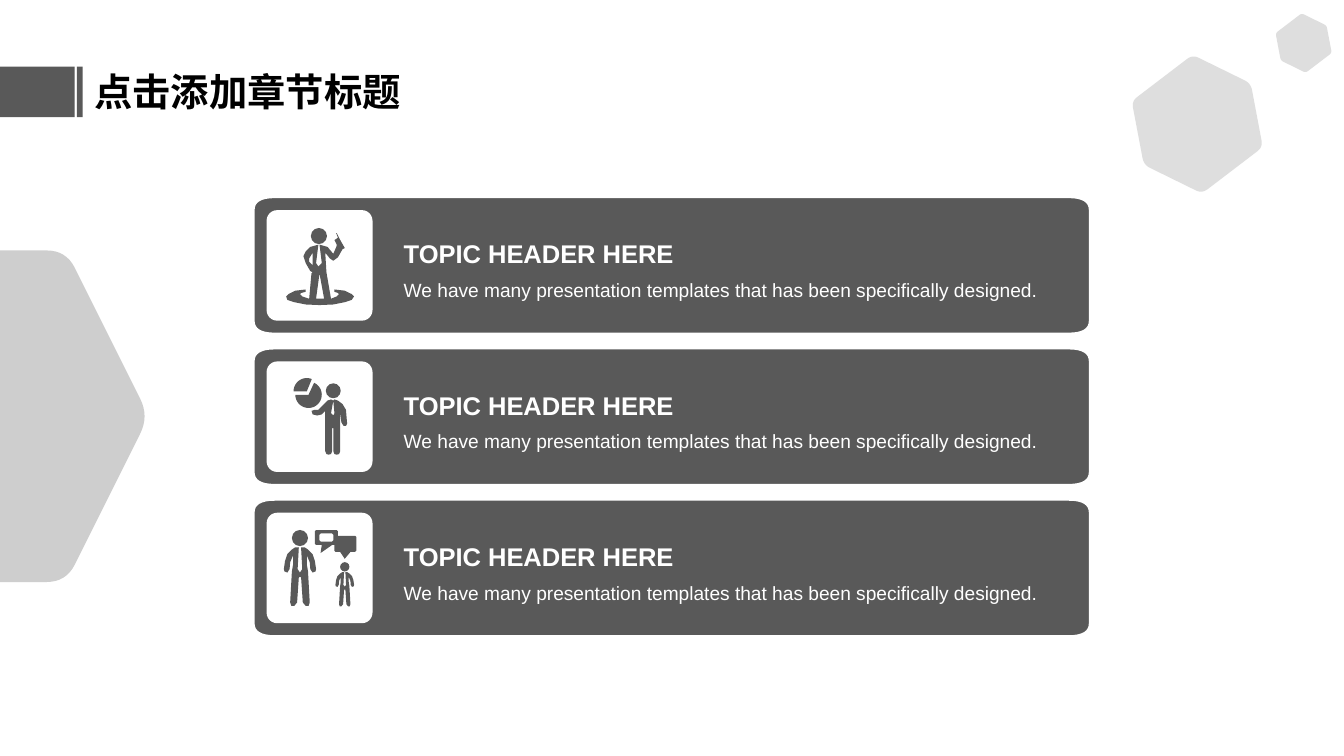
from math import cos, hypot, pi, sin

from lxml.etree import SubElement
from pptx import Presentation
from pptx.dml.color import RGBColor
from pptx.enum.shapes import MSO_SHAPE
from pptx.enum.text import MSO_ANCHOR, PP_ALIGN
from pptx.oxml.ns import qn
from pptx.util import Cm, Pt

GRAY, WHITE, BLACK, PALE = "595959", "FFFFFF", "000000", "A6A6A6"
BAR_LEFT, BAR_TOP, BAR_WIDTH, BAR_HEIGHT, BAR_PITCH = 5.59, 4.34, 18.5, 3.04, 3.34
ICON_UNIT = 2.54 / 100

PRESENTER = [
    [(76, 75), (74, 78), (68, 80), (58, 82), (46, 82.5), (34, 82), (24, 80), (18, 78),
     (17, 75), (19, 73), (25, 70), (34, 69), (34, 71), (30, 72), (29, 73), (31, 75),
     (37, 77), (39, 55), (40, 54), (38, 53), (34, 46), (32, 40), (34, 36), (38, 32),
     (45, 30), (43, 46), (45, 49), (48, 46), (46, 30), (53, 32), (58, 38), (61, 31),
     (61, 30), (59, 26), (62, 24), (60.5, 20), (61, 20), (63, 24), (64, 26), (68, 33),
     (66, 34), (62, 41), (58, 44), (55, 42), (51, 37), (52, 54), (56, 77), (61, 75),
     (63, 73), (62, 72), (59, 71), (59, 69), (68, 70), (74, 73)],
    [(40, 48), (40, 37), (37, 42), (37, 45)],
    [(50, 77), (46, 55), (43, 77)],
]
ANALYST = [
    [(56, 33), (58, 34), (59, 33), (62, 34), (66, 37), (69, 42), (70, 54), (69, 56),
     (67, 56), (65, 53), (64, 44), (64, 78), (63, 80.5), (61, 81), (59, 80.5), (58, 78),
     (58, 58), (57, 58), (57, 78), (56, 80.5), (54, 81), (52, 80.5), (51, 78), (51, 43),
     (48, 46), (44, 47), (40, 46), (39, 43), (42, 42), (45, 42), (49, 38), (53, 34)],
    [(58, 34), (56, 45), (58, 47), (59, 45)],
]
SPEECH_BUBBLES = [
    [(43, 15), (61, 15), (62, 16), (62, 20), (77, 20), (78, 21), (78, 33), (77, 34),
     (73, 34), (68, 40), (64, 34), (60, 34), (59, 33), (59, 28), (57, 28), (47, 35),
     (48, 28), (43, 28), (42, 27), (42, 16)],
    [(47, 18), (57, 18), (58, 19), (58, 24), (57, 25), (47, 25), (46, 24), (46, 19)],
]
HALF_BODY = [
    (0, 37), (2, 34), (1, 15), (4, 15), (7, 17), (11, 21), (13, 27), (14, 34), (13.5, 36),
    (11, 37), (9, 34), (8.5, 28), (6, 22), (6, 30), (7, 36), (8.5, 63), (7.5, 66),
    (5, 66), (2.5, 63), (1, 41), (0, 41),
]


def color(value):
    return RGBColor.from_string(value)


def write(paragraph, text, size, font="Arial", fill=WHITE, bold=False, spacing=None, before=None):
    paragraph.alignment = PP_ALIGN.LEFT
    paragraph.line_spacing = spacing
    if before is not None:
        paragraph.space_before = Pt(before)
    run = paragraph.add_run()
    run.text = text
    run.font.name, run.font.size, run.font.bold = font, Pt(size), bold
    run.font.color.rgb = color(fill)
    SubElement(run.font._element, qn("a:ea")).set("typeface", font)


def rounded(corners, cut_x, cut_y, steps=8):
    points = []
    for index, (x, y) in enumerate(corners):
        ends = []
        for near_x, near_y in (corners[index - 1], corners[(index + 1) % len(corners)]):
            length = hypot(near_x - x, near_y - y)
            ends.append((x + (near_x - x) / length * cut_x, y + (near_y - y) / length * cut_y))
        (start_x, start_y), (end_x, end_y) = ends
        for step in range(steps + 1):
            t = step / steps
            a, b, c = (1 - t) ** 2, 2 * t * (1 - t), t ** 2
            points.append((a * start_x + b * x + c * end_x, a * start_y + b * y + c * end_y))
    return points


def wedge(x, y, radius, start, end, steps=24):
    angles = [(start + (end - start) * step / steps) * pi / 180 for step in range(steps + 1)]
    return [(x, y)] + [(x + radius * cos(angle), y + radius * sin(angle)) for angle in angles]


class SlideBuilder:
    def __init__(self, presentation):
        self.slide = presentation.slides.add_slide(presentation.slide_layouts[5])
        self.shapes = self.slide.shapes

    def style(self, shape, fill, line=None, alpha=None):
        shape.shadow.inherit = False
        shape.fill.solid()
        shape.fill.fore_color.rgb = color(fill)
        if alpha:
            target = shape._element.spPr.find(qn("a:solidFill"))[0]
            SubElement(target, qn("a:alpha")).set("val", str(alpha * 1000))
        if line:
            shape.line.color.rgb = color(line)
            shape.line.width = Pt(2)
        else:
            shape.line.fill.background()
        return shape

    def preset(self, kind, left, top, width, height, fill):
        shape = self.shapes.add_shape(kind, Cm(left), Cm(top), Cm(width), Cm(height))
        return self.style(shape, fill)

    def outline(self, contours, fill, **look):
        contours = [[(Cm(x), Cm(y)) for x, y in contour] for contour in contours]
        builder = self.shapes.build_freeform(*contours[0][0])
        builder.add_line_segments(contours[0][1:])
        for contour in contours[1:]:
            builder.move_to(*contour[0])
            builder.add_line_segments(contour[1:])
        return self.style(builder.convert_to_shape(), fill, **look)

    def title(self, text):
        title = self.shapes.title
        title.left, title.top, title.width, title.height = Cm(1.83), Cm(1.37), Cm(11.18), Cm(1.3)
        title.text_frame.vertical_anchor = MSO_ANCHOR.MIDDLE
        write(title.text_frame.paragraphs[0], text, 24, "Noto Sans CJK SC", BLACK, True)

    def hexagon(self, x, y, scale, alpha, rotation=0):
        corners = [(4.24, 0), (2.41, 3.66), (-2.41, 3.66), (-4.24, 0), (-2.41, -3.66), (2.41, -3.66)]
        points = rounded(corners, 0.43, 0.43)
        contour = [(x + scale * dx, y + scale * dy) for dx, dy in points]
        self.outline([contour], PALE, alpha=alpha).rotation = rotation

    def bar(self, top, header, detail):
        right, bottom = BAR_LEFT + BAR_WIDTH, top + BAR_HEIGHT
        corners = [(BAR_LEFT, top), (right, top), (right, bottom), (BAR_LEFT, bottom)]
        self.outline([rounded(corners, 0.48, 0.3)], GRAY, line=WHITE)
        tile = self.preset(MSO_SHAPE.ROUNDED_RECTANGLE, BAR_LEFT + 0.3, top + 0.3, 2.34, 2.44, WHITE)
        tile.adjustments[0] = 0.1
        box = self.shapes.add_textbox(Cm(8.92), Cm(top + 0.79), Cm(14.5), Cm(1.55))
        frame = box.text_frame
        frame.word_wrap = True
        frame.margin_left = frame.margin_right = frame.margin_top = frame.margin_bottom = 0
        write(frame.paragraphs[0], header, 16, bold=True, spacing=1.2)
        write(frame.add_paragraph(), detail, 12, spacing=1.2, before=3)

    def icon(self, bar_top, contours, heads=()):
        left, top = BAR_LEFT + 0.3, bar_top + 0.3
        self.outline([[(left + x * ICON_UNIT, top + y * ICON_UNIT) for x, y in contour]
                      for contour in contours], GRAY)
        for x, y, radius in heads:
            size = 2 * radius * ICON_UNIT
            self.preset(MSO_SHAPE.OVAL, left + (x - radius) * ICON_UNIT,
                        top + (y - radius) * ICON_UNIT, size, size, GRAY)

    def person(self, bar_top, x, y, scale):
        body = HALF_BODY + [(-dx, dy) for dx, dy in reversed(HALF_BODY)]
        contour = [(x + scale * dx, y + scale * dy) for dx, dy in body]
        self.icon(bar_top, [contour], [(x, y + 7 * scale, 7 * scale)])


def main():
    presentation = Presentation()
    presentation.slide_width, presentation.slide_height = Cm(29.69), Cm(16.69)
    builder = SlideBuilder(presentation)
    builder.title("点击添加章节标题")
    for left, width in ((0, 1.65), (1.7, 0.13)):
        builder.preset(MSO_SHAPE.RECTANGLE, left, 1.47, width, 1.12, GRAY)

    tops = [BAR_TOP + BAR_PITCH * row for row in range(3)]
    for top in tops:
        builder.bar(top, "TOPIC HEADER HERE",
                    "We have many presentation templates that has been specifically designed.")
    presenter_top, analyst_top, talk_top = tops
    builder.icon(presenter_top, PRESENTER, [(45.5, 22.5, 7)])
    pie = [wedge(36.5, 29, 11.5, -65, 180), wedge(35, 26, 11.5, 180, 292)]
    builder.icon(analyst_top, ANALYST, [(58, 25.5, 6.5)])
    builder.icon(analyst_top, pie)
    builder.icon(talk_top, SPEECH_BUBBLES)
    builder.person(talk_top, 29, 15, 1)
    builder.person(talk_top, 68, 43, 0.58)

    builder.hexagon(-0.95, 9.19, 1, 55)
    builder.hexagon(26.45, 2.74, 0.35, 37, 322.7)
    builder.hexagon(28.8, 0.95, 0.15, 37, 322.7)
    presentation.save("out.pptx")


if __name__ == "__main__":
    main()
